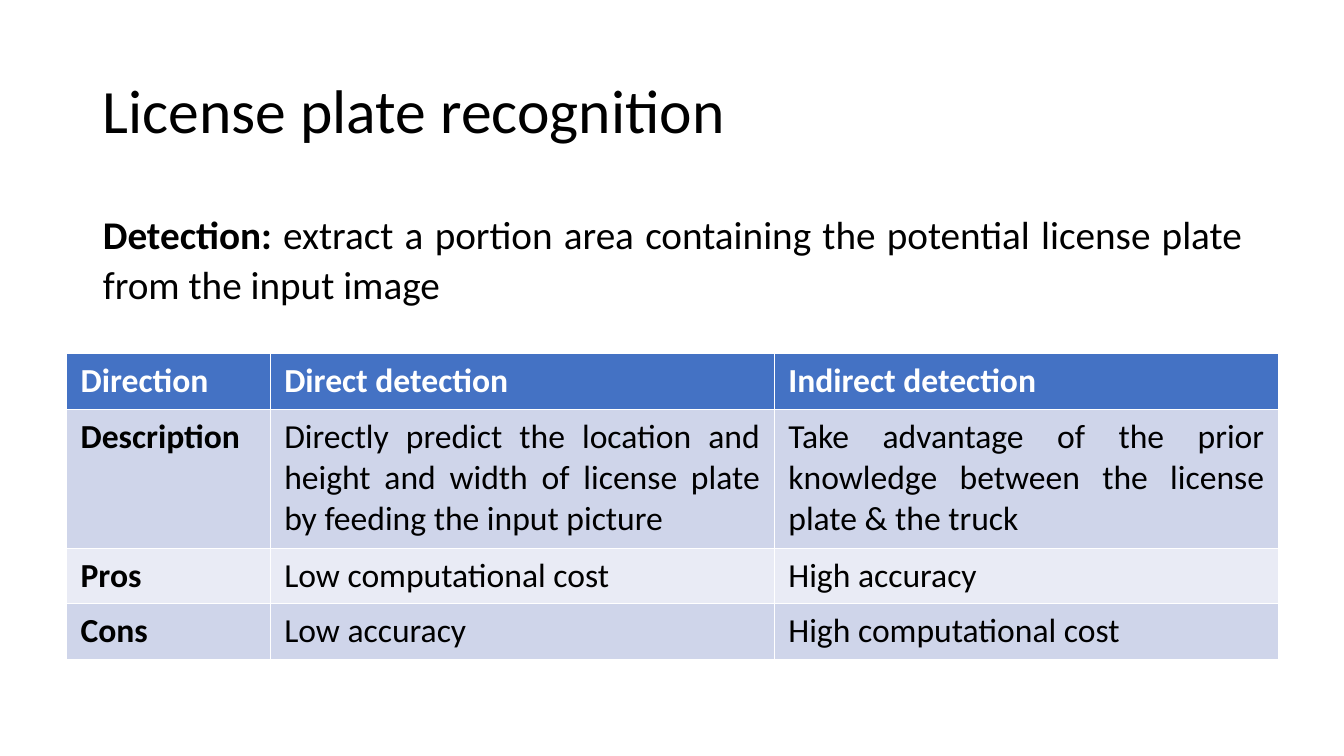
from lxml.etree import SubElement
from pptx import Presentation
from pptx.dml.color import RGBColor
from pptx.enum.text import MSO_ANCHOR as ANCHOR, MSO_AUTO_SIZE as AUTOSIZE, PP_ALIGN as ALIGN
from pptx.oxml.ns import qn
from pptx.util import Inches, Pt

# Content
TITLE = "License plate recognition"
BODY = [("Detection: ", True),
        ("extract a portion area containing the potential license plate from the input image", False)]
ROWS = [
    ("Direction", "Direct detection", "Indirect detection"),
    ("Description",
     "Directly predict the location and height and width of license plate by feeding the input picture",
     "Take advantage of the prior knowledge between the license plate & the truck"),
    ("Pros", "Low computational cost", "High accuracy"),
    ("Cons", "Low accuracy", "High computational cost"),
]

# Layout and formats
TITLE_BOX = (0.92, 0.4, 11.5, 1.45)
BODY_BOX = (0.92, 2, 11.5, 4.76)
TABLE_LEFT, TABLE_TOP = 0.66, 3.51
COL_WIDTHS = (2.02, 5, 5)
ROW_HEIGHTS = (0.55, 1.38, 0.55, 0.55)
HEADER, BANDS = "4472C4", ("E9EBF5", "CFD5EA")
BLACK, WHITE = "000000", "FFFFFF"
TITLE_PARA = {"alignment": ALIGN.LEFT, "line_spacing": 0.9}
BODY_PARA = {"alignment": ALIGN.JUSTIFY, "line_spacing": 1.07,
             "space_before": Pt(0), "space_after": Pt(8)}
CELL_MARGINS = {"margin_left": Inches(0.14), "margin_right": Inches(0.14),
                "margin_top": Inches(0.07), "margin_bottom": Inches(0.07)}


def color(hex_string):
    return RGBColor.from_string(hex_string)


def apply(obj, formats):
    for name, value in formats.items():
        setattr(obj, name, value)


def add_run(p, text, size, hex_string=BLACK, bold=False):
    r = p.add_run()
    r.text = text
    apply(r.font, {"name": "Calibri", "size": Pt(size), "bold": bold})
    r.font.color.rgb = color(hex_string)


def place(sp, box, anchor):
    apply(sp, dict(zip(("left", "top", "width", "height"), map(Inches, box))))
    apply(sp.text_frame, {"vertical_anchor": anchor, "word_wrap": True,
                          "auto_size": AUTOSIZE.NONE})
    return sp.text_frame.paragraphs[0]


prs = Presentation()
prs.slide_width, prs.slide_height = Inches(13.33), Inches(7.5)
slide = prs.slides.add_slide(prs.slide_layouts[1])

# Title
p = place(slide.shapes.title, TITLE_BOX, ANCHOR.MIDDLE)
apply(p, TITLE_PARA)
add_run(p, TITLE, 44)

# Definition without a bullet
p = place(slide.placeholders[1], BODY_BOX, ANCHOR.TOP)
apply(p, BODY_PARA)
pPr = p._p.get_or_add_pPr()
pPr.set("marL", "0")
pPr.set("indent", "0")
SubElement(pPr, qn("a:buNone"))
for text, bold in BODY:
    add_run(p, text, 28, bold=bold)

# Comparison table
table = slide.shapes.add_table(
    len(ROWS), len(COL_WIDTHS), Inches(TABLE_LEFT), Inches(TABLE_TOP),
    Inches(sum(COL_WIDTHS)), Inches(sum(ROW_HEIGHTS))).table
for column, width in zip(table.columns, COL_WIDTHS):
    column.width = Inches(width)
for row, height in zip(table.rows, ROW_HEIGHTS):
    row.height = Inches(height)

for i, texts in enumerate(ROWS):
    for j, text in enumerate(texts):
        cell = table.cell(i, j)
        is_header, is_label = i == 0, j == 0
        apply(cell, CELL_MARGINS)
        cell.fill.solid()
        cell.fill.fore_color.rgb = color(HEADER if is_header else BANDS[i % 2])
        p = cell.text_frame.paragraphs[0]
        p.alignment = ALIGN.LEFT if is_header or is_label else ALIGN.JUSTIFY
        add_run(p, text, 24, WHITE if is_header else BLACK, is_header or is_label)

prs.save("out.pptx")
